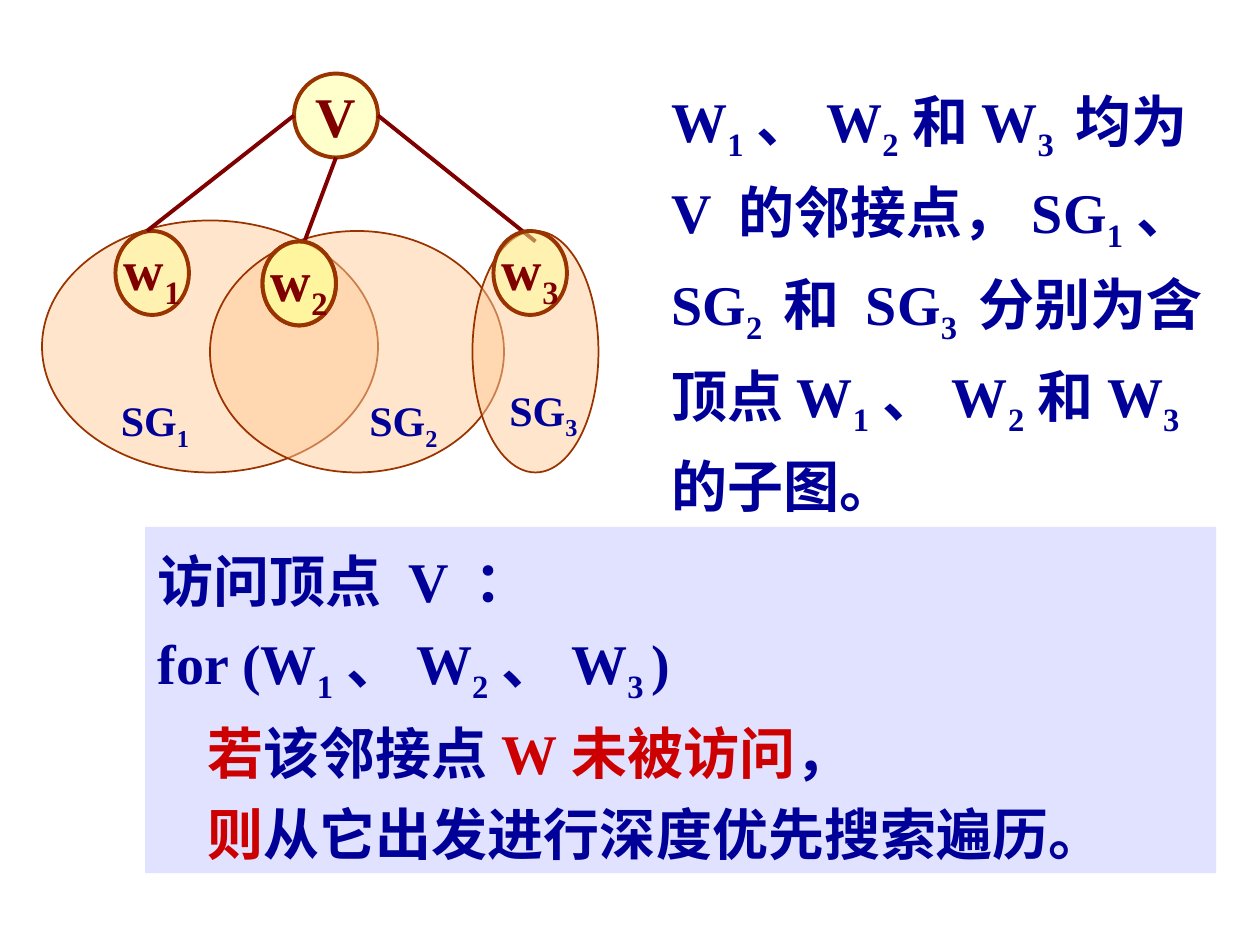
from lxml.etree import SubElement
from pptx import Presentation
from pptx.dml.color import RGBColor
from pptx.enum.shapes import MSO_CONNECTOR, MSO_SHAPE
from pptx.enum.text import MSO_ANCHOR, MSO_AUTO_SIZE, PP_ALIGN
from pptx.oxml.ns import qn
from pptx.util import Pt

NAVY, MAROON, RED, BROWN = "000099", "800000", "CC0000", "993300"
YELLOW, PEACH, LILAC = "FFFF99", "FFCC99", "E1E2FF"


def paint(color, code):
    color.rgb = RGBColor.from_string(code)


def write(para, text, size, color):
    """Fill a paragraph; _x_ marks a subscript and |x| marks red words."""
    for i, part in enumerate(text.split("|")):
        for j, piece in enumerate(part.split("_")):
            if not piece:
                continue
            run = para.add_run()
            run.text = piece
            font = run.font
            font.name, font.size, font.bold = "Times New Roman", Pt(size), True
            paint(font.color, RED if i % 2 else color)
            props = font._element
            if j % 2:
                props.set("baseline", "-25000")
            SubElement(props, qn("a:ea")).set("typeface", "Noto Sans CJK SC")


def add_oval(slide, place, code, width):
    oval = slide.shapes.add_shape(MSO_SHAPE.OVAL, *map(Pt, place))
    oval.shadow.inherit = False
    oval.fill.solid()
    paint(oval.fill.fore_color, code)
    color = oval.fill._xPr.find(qn("a:solidFill"))[0]
    SubElement(color, qn("a:alpha")).set("val", "50000")
    paint(oval.line.color, BROWN)
    oval.line.width = Pt(width)
    return oval


def add_node(slide, text, left, top, width=42):
    frame = add_oval(slide, (left, top, width, 48), YELLOW, 2.25).text_frame
    frame.word_wrap = False
    frame.vertical_anchor = MSO_ANCHOR.MIDDLE
    para = frame.paragraphs[0]
    para.alignment = PP_ALIGN.CENTER
    write(para, text, 32, MAROON)


def add_edge(slide, *ends):
    edge = slide.shapes.add_connector(MSO_CONNECTOR.STRAIGHT, *map(Pt, ends))
    paint(edge.line.color, MAROON)
    edge.line.width = Pt(2.25)
    SubElement(edge._element.spPr, qn("a:effectLst"))


def add_text(slide, place, lines, size=32, spacing=1.2, before=0, fill=None):
    """Add a text box; a line that starts with a tab is indented."""
    box = slide.shapes.add_textbox(*map(Pt, place))
    if fill:
        box.fill.solid()
        paint(box.fill.fore_color, fill)
    frame = box.text_frame
    frame.word_wrap = True
    frame.auto_size = MSO_AUTO_SIZE.SHAPE_TO_FIT_TEXT
    for i, line in enumerate(lines):
        para = frame.add_paragraph() if i else frame.paragraphs[0]
        para.line_spacing = spacing
        para.space_before = Pt(before)
        if line.startswith("\t"):
            para._p.get_or_add_pPr().set("marL", str(Pt(28.7)))
        write(para, line.strip("\t"), size, NAVY)


def main():
    deck = Presentation()
    deck.slide_width, deck.slide_height = Pt(720), Pt(540)
    slide = deck.slides.add_slide(deck.slide_layouts[6])

    add_node(slide, "V", 168, 42, 48)
    for place in ((24, 126, 192, 144), (120, 132, 168, 138), (270, 132, 72, 138)):
        add_oval(slide, place, PEACH, 1)
    add_node(slide, "w_1_", 66, 132)
    add_edge(slide, 168, 66, 84, 132)
    add_edge(slide, 192, 90, 174, 138)
    add_edge(slide, 216, 66, 306, 138)
    for i, (left, top) in enumerate(((62, 222), (204, 222), (284, 216)), 1):
        add_text(slide, (left, top, 58, 40), [f"SG_{i}_"], 24, 1, 15)

    add_text(slide, (376.5, 37, 343.5, 263.5), [
        "W_1_、W_2_和W_3 _均为 V 的邻接点，SG_1_、SG_2 _和 SG_3 _"
        "分别为含顶点W_1_、W_2_和W_3 _的子图。"])
    add_text(slide, (83, 301, 612, 198), [
        "访问顶点 V ：",
        "for (W_1_、W_2_、W_3 _)",
        "\t|若|该邻接点|W未被访问|，",
        "\t|则|从它出发进行深度优先搜索遍历。"], fill=LILAC)

    # The second layer of w2 gives it a deeper yellow
    for text, left, top in (("w_2_", 150, 138), ("w_3_", 282, 132), ("w_2_", 150, 138)):
        add_node(slide, text, left, top)
    deck.save("out.pptx")


if __name__ == "__main__":
    main()
